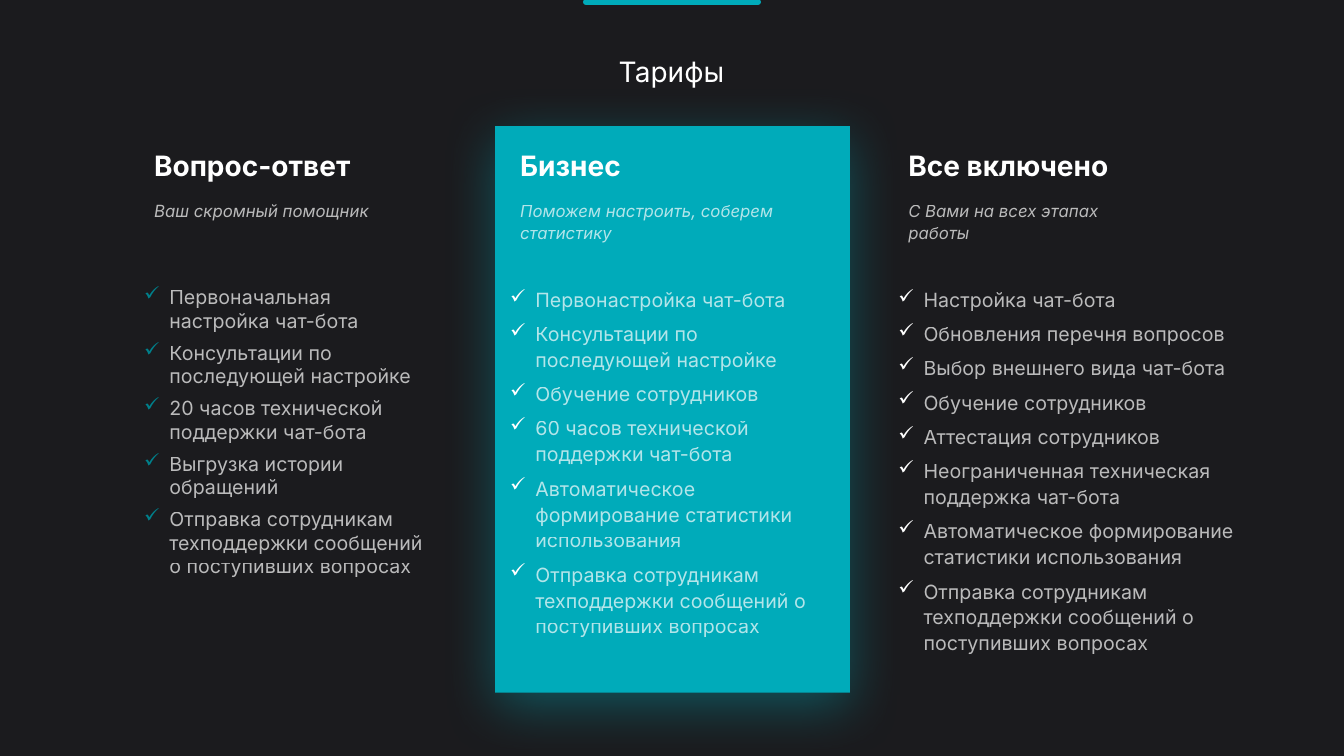
from lxml import etree
from pptx import Presentation
from pptx import util as u
from pptx.dml.color import RGBColor
from pptx.enum import shapes, text
from pptx.oxml import parse_xml
from pptx.oxml.ns import nsdecls, qn

HUES = {"back": "1B1B1E", "teal": "00ABBA", "deep": "00808B", "white": "FFFFFF"}

HELP = "Отправка сотрудникам техподдержки сообщений о поступивших вопросах"
STATS = "Автоматическое формирование статистики использования"
TRAIN = "Обучение сотрудников"
ADVICE = "Консультации по последующей настройке"

PLANS = [
    {"name": "Вопрос-ответ", "motto": "Ваш скромный помощник",
     "left": 1.43, "head": (3.24, 0.86), "list": (3.03, 3.01),
     "tick": "deep", "lead": None,
     "perks": ["Первоначальная настройка чат-бота", ADVICE,
               "20 часов технической поддержки чат-бота",
               "Выгрузка истории обращений", HELP]},
    {"name": "Бизнес", "motto": "Поможем настроить, соберем статистику",
     "left": 5.06, "head": (3.24, 1.08), "list": (3.36, 3.61),
     "tick": "white", "lead": 1.1,
     "perks": ["Первонастройка чат-бота", ADVICE, TRAIN,
               "60 часов технической поддержки чат-бота", STATS, HELP]},
    {"name": "Все включено", "motto": "С Вами на всех этапах работы",
     "left": 8.91, "head": (2.69, 0.86), "list": (3.76, 4.82),
     "tick": "white", "lead": 1.1,
     "perks": ["Настройка чат-бота", "Обновления перечня вопросов",
               "Выбор внешнего вида чат-бота", TRAIN, "Аттестация сотрудников",
               "Неограниченная техническая поддержка чат-бота", STATS, HELP]},
]


class Deck:
    face = "Inter"

    def __init__(self):
        self.show = Presentation()
        self.show.slide_width = u.Inches(13.33)
        self.show.slide_height = u.Inches(7.5)
        self.slide = self.show.slides.add_slide(self.show.slide_layouts[5])
        fill = self.slide.background.fill
        fill.solid()
        fill.fore_color.rgb = self.hue("back")

    def hue(self, name):
        return RGBColor.from_string(HUES[name])

    def font(self, para, size, bold=False, slant=False, alpha=None):
        font = para.font
        font.name, font.size = self.face, u.Pt(size)
        font.bold, font.italic = bold, slant
        font.color.rgb = self.hue("white")
        if alpha:
            tint = para._p.pPr.find(".//" + qn("a:defRPr")).find(".//" + qn("a:srgbClr"))
            etree.SubElement(tint, qn("a:alpha"), val=str(alpha * 1000))

    def title(self, words, box):
        head = self.slide.shapes.title
        head.left, head.top, head.width, head.height = map(u.Inches, box)
        frame = head.text_frame
        frame.text = words
        frame.auto_size = text.MSO_AUTO_SIZE.NONE
        frame.vertical_anchor = text.MSO_ANCHOR.TOP
        frame.margin_left = frame.margin_right = 0
        frame.margin_top = frame.margin_bottom = 0
        para = frame.paragraphs[0]
        para.alignment = text.PP_ALIGN.CENTER
        para.line_spacing = 0.9
        self.font(para, 20)

    def bar(self, start, end, top, width):
        line = self.slide.shapes.add_connector(
            shapes.MSO_CONNECTOR.STRAIGHT,
            *map(u.Inches, (start, top, end, top)))
        line.line.color.rgb = self.hue("teal")
        line.line.width = u.Pt(width)
        line.line._ln.set("cap", "rnd")
        etree.SubElement(line._element.spPr, qn("a:effectLst"))

    def card(self, box, color, glow=False):
        card = self.slide.shapes.add_shape(
            shapes.MSO_SHAPE.ROUNDED_RECTANGLE, *map(u.Inches, box))
        card.adjustments[0] = 0
        card.fill.solid()
        card.fill.fore_color.rgb = self.hue(color)
        card.line.fill.background()
        card.shadow.inherit = False
        if glow:
            card._element.spPr.find(qn("a:effectLst")).append(parse_xml(
                f'<a:outerShdw {nsdecls("a")} blurRad="{u.Pt(40)}" dist="{u.Pt(10)}" '
                f'dir="5400000" algn="t" rotWithShape="0"><a:srgbClr val="{HUES[color]}">'
                '<a:alpha val="40000"/></a:srgbClr></a:outerShdw>'))

    def paras(self, box, lines, gap, lead):
        frame = self.slide.shapes.add_textbox(*map(u.Inches, box)).text_frame
        frame.word_wrap = True
        frame.auto_size = text.MSO_AUTO_SIZE.SHAPE_TO_FIT_TEXT
        for i, line in enumerate(lines):
            para = frame.add_paragraph() if i else frame.paragraphs[0]
            para.text = line
            para.line_spacing = lead
            para.space_before = u.Pt(gap if i else 0)
        return frame

    def head(self, box, name, motto):
        first, last = self.paras(box, [name, motto], 12, 1.1).paragraphs
        self.font(first, 20, bold=True)
        self.font(last, 12, slant=True, alpha=70)

    def ticks(self, box, perks, color, lead):
        frame = self.paras(box, perks, 6, lead)
        frame.margin_left, frame.margin_right = 0, u.Inches(0.24)
        frame.margin_top = frame.margin_bottom = u.Inches(0.04)
        for para in frame.paragraphs:
            props = para._p.get_or_add_pPr()
            props.set("marL", str(u.Inches(0.25)))
            props.set("indent", str(-u.Inches(0.25)))
            tint = etree.SubElement(props, qn("a:buClr"))
            etree.SubElement(tint, qn("a:srgbClr"), val=HUES[color])
            etree.SubElement(props, qn("a:buChar"), char="✓")
            self.font(para, 14, alpha=70)


def main():
    deck = Deck()
    deck.bar(5.81, 7.52, 0.02, 4)
    deck.title("Тарифы", (1.12, 0.58, 11.08, 1.12))
    deck.card((1.12, 1.25, 3.52, 5.38), "back")
    deck.card((4.91, 1.25, 3.52, 5.62), "teal", glow=True)
    for plan in PLANS:
        deck.head((plan["left"], 1.39, *plan["head"]), plan["name"], plan["motto"])
        deck.ticks((plan["left"], 2.79, *plan["list"]),
                   plan["perks"], plan["tick"], plan["lead"])
    deck.show.save("out.pptx")


if __name__ == "__main__":
    main()
